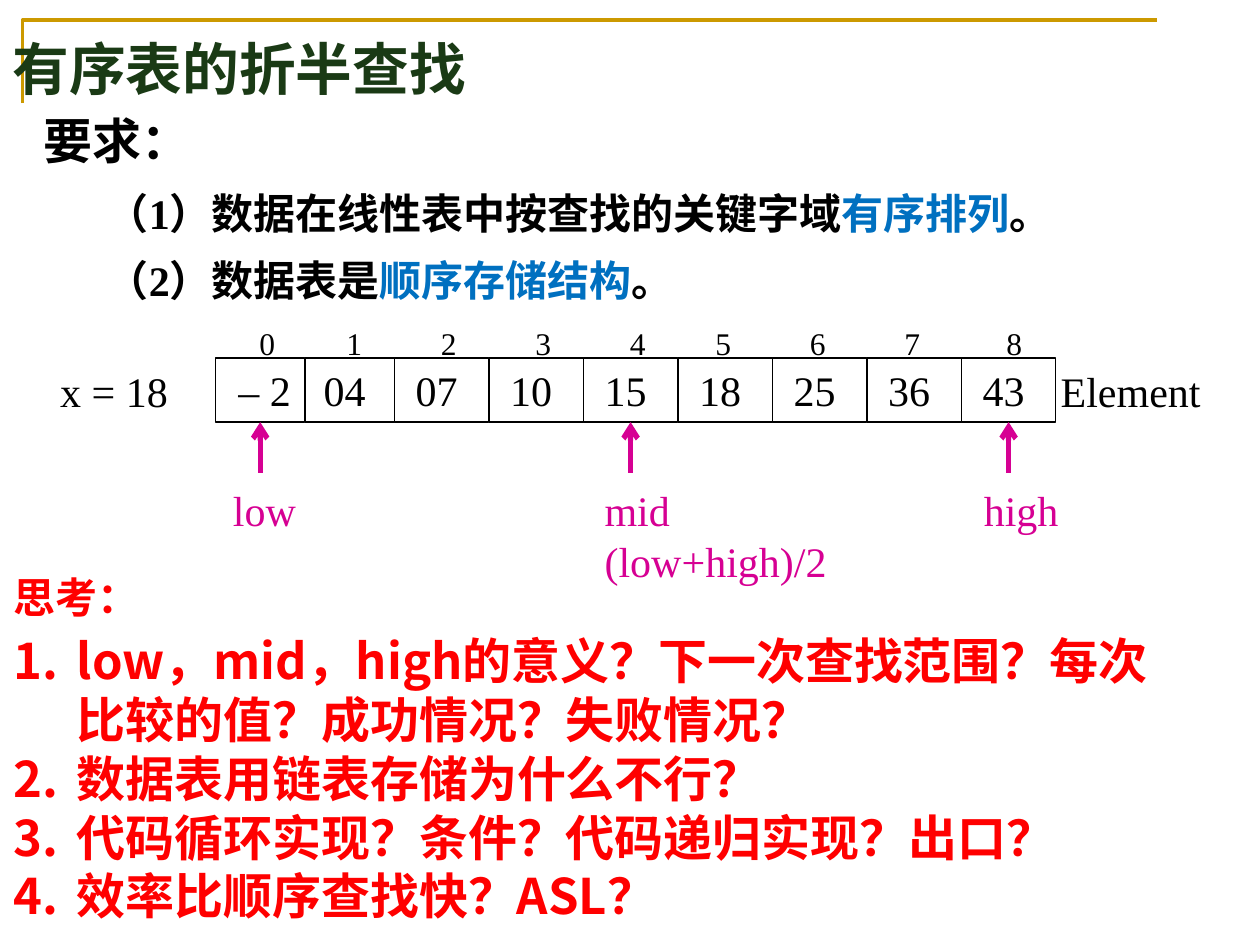
from dataclasses import dataclass

import pptx
import pptx.dml.color
import pptx.enum.shapes
import pptx.enum.text
import pptx.oxml
import pptx.oxml.ns
import pptx.util

RGBColor = pptx.dml.color.RGBColor
GOLD = RGBColor(0xCC, 0x99, 0x00)
GREEN = RGBColor(0x1A, 0x3A, 0x15)
BLUE = RGBColor(0x00, 0x70, 0xC0)
PINK = RGBColor(0xD6, 0x00, 0x93)
RED = RGBColor(0xFF, 0x00, 0x00)
BLACK = RGBColor(0x00, 0x00, 0x00)

SERIF, SANS = "Times New Roman", "Noto Sans CJK SC"

# The slide is a grid of 100 columns by 75 rows
COLUMNS, ROWS = 100, 75
deck = pptx.Presentation()
deck.slide_width = pptx.util.Inches(10)
deck.slide_height = pptx.util.Inches(7.5)
page = deck.slides.add_slide(deck.slide_layouts[6])


@dataclass
class Span:
    text: str
    color: RGBColor = BLACK


@dataclass
class Para:
    spans: list[Span]
    size: float = 24
    font: str = SERIF
    bold: bool = False
    hanging: float = 0  # columns
    before: float = 0  # points
    after: float = 0
    line: float | None = None
    numbered: bool = False


@dataclass
class Pointer:
    cell: int
    lines: list[str]
    left: float
    width: float


def across(columns: float) -> int:
    return round(deck.slide_width * columns / COLUMNS)


def down(rows: float) -> int:
    return round(deck.slide_height * rows / ROWS)


def add_element(parent, tag: str, **attributes):
    element = pptx.oxml.ns.qn(tag)
    child = parent.makeelement(element, attributes)
    parent.append(child)
    return child


def write(frame, paras: list[Para]) -> None:
    for index, item in enumerate(paras):
        para = frame.paragraphs[0] if index == 0 else frame.add_paragraph()
        para.space_before = pptx.util.Pt(item.before)
        para.space_after = pptx.util.Pt(item.after)
        if item.line:
            para.line_spacing = pptx.util.Pt(item.line)
        properties = para._p.get_or_add_pPr()
        if item.hanging:
            properties.set("marL", str(across(item.hanging)))
            properties.set("indent", str(-across(item.hanging)))
        if item.numbered:
            add_element(properties, "a:buFont", typeface=SANS)
            add_element(properties, "a:buAutoNum", type="arabicPeriod")
        for span in item.spans:
            run = para.add_run()
            run.text = span.text
            run.font.name = item.font
            run.font.size = pptx.util.Pt(item.size)
            run.font.bold = item.bold
            run.font.color.rgb = span.color
            add_element(run._r.get_or_add_rPr(), "a:ea", typeface=SANS)


def add_text(left: float, top: float, width: float, height: float,
             paras: list[Para], wrap: bool = True):
    box = page.shapes.add_textbox(across(left), down(top), across(width), down(height))
    box.text_frame.word_wrap = wrap
    write(box.text_frame, paras)
    return box


def add_cell(left: float, width: float, text: str, shift: float):
    cell = page.shapes.add_shape(pptx.enum.shapes.MSO_SHAPE.RECTANGLE, across(left),
                                 down(CELL_TOP), across(width), down(CELL_HEIGHT))
    cell.shadow.inherit = False
    cell.fill.background()
    cell.line.color.rgb = BLACK
    cell.line.width = pptx.util.Pt(0.75)
    frame = cell.text_frame
    frame.word_wrap = False
    frame.margin_left = across(1 + max(shift, 0))
    frame.margin_right = across(1 + max(-shift, 0))
    write(frame, [Para([Span(text)])])
    frame.paragraphs[0].alignment = pptx.enum.text.PP_ALIGN.CENTER
    return cell


def add_pointer(pointer: Pointer, cell) -> None:
    paras = [Para([Span(line, PINK)]) for line in pointer.lines]
    add_text(pointer.left, 38, pointer.width, 5 * len(paras), paras, wrap=False)
    middle = cell.left + cell.width // 2
    arrow = page.shapes.add_connector(pptx.enum.shapes.MSO_CONNECTOR.STRAIGHT,
                                      middle, down(37.5), middle, cell.top + cell.height)
    arrow.end_connect(cell, 2)
    arrow.line.color.rgb = PINK
    arrow.line.width = pptx.util.Pt(3)
    add_element(arrow.line._get_or_add_ln(), "a:tailEnd", type="arrow")
    add_element(arrow._element.spPr, "a:effectLst")


# Corner rule
builder = page.shapes.build_freeform(across(1.8), down(8.2))
builder.add_line_segments([(across(1.8), down(1.6)), (across(91.8), down(1.6))], close=False)
corner = builder.convert_to_shape()
corner.shadow.inherit = False
corner.fill.background()
corner.line.color.rgb = GOLD
corner.line.width = pptx.util.Pt(2)

# Title and requirements
title = add_text(0, 2.5, 100, 5.8, [
    Para([Span("有序表的折半查找", GREEN)], 32.4, SANS, True, hanging=3.5)])
title.text_frame.vertical_anchor = pptx.enum.text.MSO_ANCHOR.MIDDLE

requirement = dict(bold=True, hanging=5, before=4.8, after=4.8, line=28.8)
add_text(2.5, 8.3, 95, 17.3, [
    Para([Span("要求：")], 28, SANS, True, after=5.6, line=33.6),
    Para([Span("\t（1）数据在线性表中按查找的关键字域"), Span("有序排列", BLUE), Span("。")],
         **requirement),
    Para([Span("\t（2）数据表是"), Span("顺序存储结构", BLUE), Span("。")], **requirement),
])

# Array: two narrow cells, then wide ones
CELL_TOP, CELL_HEIGHT = 28.4, 5.1
NARROW, WIDE = 7.1, 7.5
add_text(3.8, 28.5, 10.6, 5, [Para([Span("x = 18")])], wrap=False)
add_text(83.2, 28.5, 13.1, 5, [Para([Span("Element")])], wrap=False)

cells = []
left = 17.1
for index, value in enumerate(["– 2", "04", "07", "10", "15", "18", "25", "36", "43"]):
    width = NARROW if index < 2 else WIDE
    cells.append(add_cell(left, width, value, 0.7 if index == 0 else -0.8))
    left += width

# Index row, set on tab stops
indices = add_text(19.6, 25.2, 64, 4,
                   [Para([Span("\t".join(str(index) for index in range(9)))], 18)])
stops = add_element(indices.text_frame.paragraphs[0]._p.get_or_add_pPr(), "a:tabLst")
for stop in (6.9, 14.4, 21.9, 29.4, 36.2, 43.7, 51.2, 59.3):
    add_element(stops, "a:tab", pos=str(across(stop)), algn="l")

# Search pointers
for pointer in (Pointer(0, ["low"], 17.5, 7.1),
                Pointer(4, ["mid", "(low+high)/2"], 47, 19.8),
                Pointer(8, ["high"], 77.1, 8)):
    add_pointer(pointer, cells[pointer.cell])

# Questions
questions = ["low，mid，high的意义？下一次查找范围？每次比较的值？成功情况？失败情况？",
             "数据表用链表存储为什么不行？",
             "代码循环实现？条件？代码递归实现？出口？",
             "效率比顺序查找快？ASL？"]
add_text(0.1, 44.9, 93.8, 29.4, [
    Para([Span("思考：", RED)], 24, SANS, True, hanging=5, after=4.8, line=28.8),
    *(Para([Span(question, RED)], 28, SANS, True, hanging=5, line=33.6, numbered=True)
      for question in questions),
])

deck.save("out.pptx")
